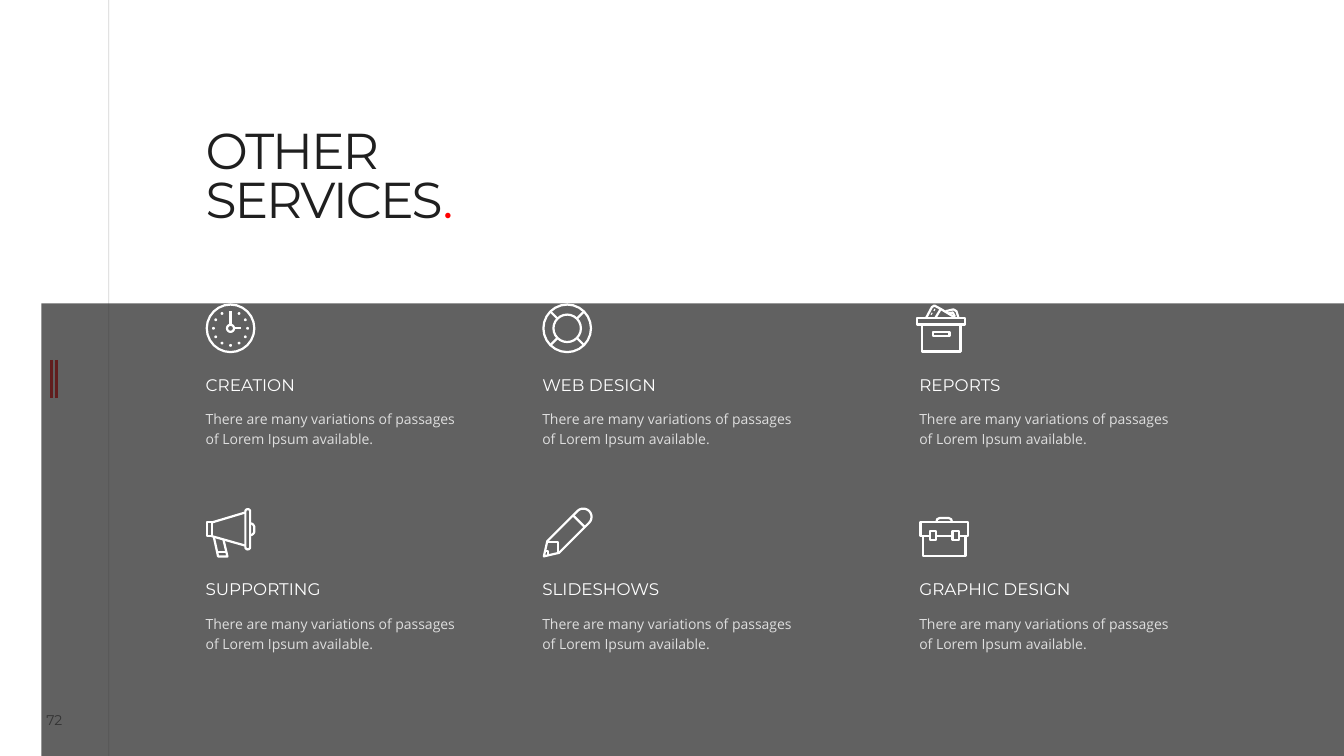
from math import cos, radians, sin

from pptx import Presentation
from pptx.dml.color import RGBColor
from pptx.enum.shapes import MSO_CONNECTOR, MSO_SHAPE
from pptx.enum.text import MSO_ANCHOR, MSO_AUTO_SIZE, PP_ALIGN
from pptx.oxml.ns import qn
from pptx.oxml.xmlchemy import OxmlElement
from pptx.util import Pt

STRAIGHT = MSO_CONNECTOR.STRAIGHT
RECTANGLE = MSO_SHAPE.RECTANGLE
TOP, MIDDLE = MSO_ANCHOR.TOP, MSO_ANCHOR.MIDDLE
LEFT, CENTER = PP_ALIGN.LEFT, PP_ALIGN.CENTER
NO_FIT = MSO_AUTO_SIZE.NONE

DARK, WHITE, RED, MARK_RED = "1F1F1F", "FFFFFF", "FF0000", "FE1C1D"
HEAD_FONT, BODY_FONT = "Montserrat", "Open Sans"
BLURB = "There are many variations of passages of Lorem Ipsum available."
COLUMNS = (146.88, 387.36, 656.64)
ROWS = (216.72, 362.88)
STROKE = 1.6


def rgb(code):
    """Return the colour for a hex string."""
    return RGBColor.from_string(code)


def fade(sp, percent):
    """Give every colour in a shape the same opacity."""
    for clr in sp.element.iter(qn("a:srgbClr")):
        alpha = OxmlElement("a:alpha")
        alpha.set("val", str(percent * 1000))
        clr.append(alpha)


def style_run(r, size, font, colour):
    """Set the font of a run."""
    r.font.size = Pt(size)
    r.font.name = font
    r.font.color.rgb = rgb(colour)


def set_frame(tf, inset_y, anchor):
    """Set wrapping, anchor and insets of a text frame."""
    tf.word_wrap = True
    tf.auto_size = NO_FIT
    tf.vertical_anchor = anchor
    tf.margin_left = tf.margin_right = 0
    tf.margin_top = tf.margin_bottom = Pt(inset_y)


def add_text(s, box, text, size, font, colour, spacing=1.0, inset_y=3.6,
             anchor=TOP, align=LEFT):
    """Add a text box holding one paragraph."""
    sp = s.shapes.add_textbox(*map(Pt, box))
    set_frame(sp.text_frame, inset_y, anchor)
    p = sp.text_frame.paragraphs[0]
    p.text = text
    p.alignment = align
    p.line_spacing = spacing
    style_run(p.runs[0], size, font, colour)
    return sp


def add_line(s, x, top, bottom, colour, width):
    """Add a vertical line."""
    line = s.shapes.add_connector(STRAIGHT, Pt(x), Pt(top), Pt(x), Pt(bottom))
    line.line.color.rgb = rgb(colour)
    line.line.width = Pt(width)
    line.element.spPr.append(OxmlElement("a:effectLst"))
    return line


def polar(cx, cy, radius, angle):
    """Return the point at an angle in degrees around a centre."""
    return cx + radius * cos(radians(angle)), cy + radius * sin(radians(angle))


def arc(cx, cy, radius, start=0, end=360):
    """Return points along an arc."""
    return [polar(cx, cy, radius, a) for a in range(start, end + 1, 15)]


def rect(left, top, right, bottom):
    """Return the closed outline of a rectangle."""
    return [(left, top), (right, top), (right, bottom), (left, bottom), (left, top)]


def clock():
    """Return the contours of a clock."""
    dots = [arc(*polar(17.8, 17.8, 12.2, a), 0.2) for a in range(-60, 270, 30)]
    return [arc(17.8, 17.8, 17), arc(17.8, 17.8, 2.5),
            [(17.8, 15.3), (17.8, 5.6)], [(20.3, 17.8), (25.2, 17.8)]] + dots


def lifebuoy():
    """Return the contours of a lifebuoy."""
    spokes = [[polar(17.8, 17.8, r, a) for r in (9.8, 17)]
              for a in range(45, 360, 90)]
    return [arc(17.8, 17.8, 17), arc(17.8, 17.8, 9.8)] + spokes


def archive():
    """Return the contours of an archive box with papers."""
    return [rect(-1.4, 10.4, 32.6, 15.1), rect(2.1, 15.1, 29.5, 34.4),
            rect(10, 20.2, 21.6, 23.4),
            [(5, 10.2), (9, 2.7), (10.8, 1.5), (15.4, 4), (11.6, 10.2)],
            [(15.4, 4), (25, 9.8)],
            [(18.8, 5.6), (24.4, 4.3), (26.6, 5.6), (28, 10.2)],
            [(21, 7.2), (24, 6.5), (25.5, 9.5)],
            [(8.5, 7.2), (9.2, 7.6)], [(10.5, 4.5), (11.2, 4.9)]]


def megaphone():
    """Return the contours of a megaphone."""
    bar = arc(30.1, 2.5, 1.7, 180, 360) + arc(30.1, 27.9, 1.7, 0, 180)
    return [rect(0.8, 10.1, 4.3, 20.1), bar + bar[:1],
            [(4.3, 10.4), (28.4, 3.2)], [(4.3, 20.1), (28.4, 26.9)],
            arc(31.8, 14, 3, -90, 0) + arc(31.8, 16.4, 3, 0, 90),
            [(5.9, 20.8), (8.9, 34.6), (15.6, 34.6), (12.7, 22.4)],
            [(8.5, 31.4), (14.8, 31.4)]]


def pencil():
    """Return the contours of a pencil."""
    tip = (1.1, 34.5)
    return [[tip, (3.6, 23.6)] + arc(29.3, 6.3, 5.9, 225, 405) + [(12, 32), tip],
            [(22, 5.2), (30.4, 13.6)],
            [(3.6, 24.1), (11.5, 24.1), (11.5, 31.9)],
            [(2.2, 30.8), (4.3, 30.8), (4.3, 33.5)]]


def briefcase():
    """Return the contours of a briefcase."""
    return [[(7.6, 20.1), (0.8, 20.1), (0.8, 10.1), (34.8, 10.1), (34.8, 20.1),
             (28.4, 20.1)],
            [(12.2, 20.1), (23.8, 20.1)],
            [(2.9, 20.1), (2.9, 34.4), (33, 34.4), (33, 20.1)],
            [(12.2, 10.1), (12.8, 8), (14.4, 7.2), (21.2, 7.2), (22.8, 8),
             (23.4, 10.1)],
            rect(7.6, 16.6, 12.2, 23), rect(23.8, 16.6, 28.4, 23)]


SERVICES = (("CREATION", clock), ("WEB DESIGN", lifebuoy), ("REPORTS", archive),
            ("SUPPORTING", megaphone), ("SLIDESHOWS", pencil),
            ("GRAPHIC DESIGN", briefcase))


def add_icon(s, left, top, contours):
    """Add one outlined freeform made of several contours."""
    placed = [[(Pt(left + x), Pt(top + y)) for x, y in c] for c in contours]
    builder = s.shapes.build_freeform(*placed[0][0])
    for i, contour in enumerate(placed):
        if i:
            builder.move_to(*contour[0])
        builder.add_line_segments(contour[1:], close=False)
    sp = builder.convert_to_shape()
    sp.shadow.inherit = False
    sp.fill.background()
    sp.line.color.rgb = rgb(WHITE)
    sp.line.width = Pt(STROKE)


def add_service(s, left, top, name, icon):
    """Add the icon, heading and text of one service."""
    add_icon(s, left, top, icon())
    add_text(s, (left, top + 51.12, 159.12, 19.44), name, 12, HEAD_FONT, WHITE, 0.7)
    sp = add_text(s, (left, top + 70.56, 188.64, 36), BLURB, 10, BODY_FONT, WHITE, 1.2)
    fade(sp, 80)


def add_margin(s, height):
    """Add the side rule, the red marks and the page number."""
    fade(add_line(s, 77.76, 0, height, DARK, 0.5), 20)
    for x in (36.72, 40.32):
        add_line(s, x, 257.04, 284.4, MARK_RED, 2)
    sp = add_text(s, (18.72, 505.44, 40.32, 18), "72", 10, HEAD_FONT, DARK,
                  inset_y=0, anchor=MIDDLE, align=CENTER)
    fade(sp, 70)


def add_title(s, left, top, width, height):
    """Place and format the title."""
    sp = s.shapes.title
    sp.left, sp.top, sp.width, sp.height = map(Pt, (left, top, width, height))
    tf = sp.text_frame
    set_frame(tf, 0, TOP)
    tf.margin_top = Pt(15.12)
    p = tf.paragraphs[0]
    p.text = "OTHER\vSERVICES"
    p.add_run().text = "."
    p.alignment = LEFT
    p.line_spacing = 0.8
    for r in p.runs:
        style_run(r, 36, HEAD_FONT, RED if r.text == "." else DARK)
    for props in sp.element.iter(qn("a:rPr")):
        props.set("spc", "-150")


def add_panel(s, left, top, width, height):
    """Add the dark translucent panel."""
    sp = s.shapes.add_shape(RECTANGLE, *map(Pt, (left, top, width, height)))
    sp.shadow.inherit = False
    sp.fill.solid()
    sp.fill.fore_color.rgb = rgb(DARK)
    sp.line.fill.background()
    fade(sp, 70)


def main():
    """Build the slide and save it."""
    prs = Presentation()
    prs.slide_width, prs.slide_height = Pt(960), Pt(540)
    s = prs.slides.add_slide(prs.slide_layouts[5])
    add_margin(s, 540)
    add_title(s, COLUMNS[0], 78.48, 332.64, 205.92)
    add_panel(s, 29.52, ROWS[0], 960, 354.24)
    for i, (name, icon) in enumerate(SERVICES):
        row, column = divmod(i, len(COLUMNS))
        add_service(s, COLUMNS[column], ROWS[row], name, icon)
    prs.save("out.pptx")


if __name__ == "__main__":
    main()
